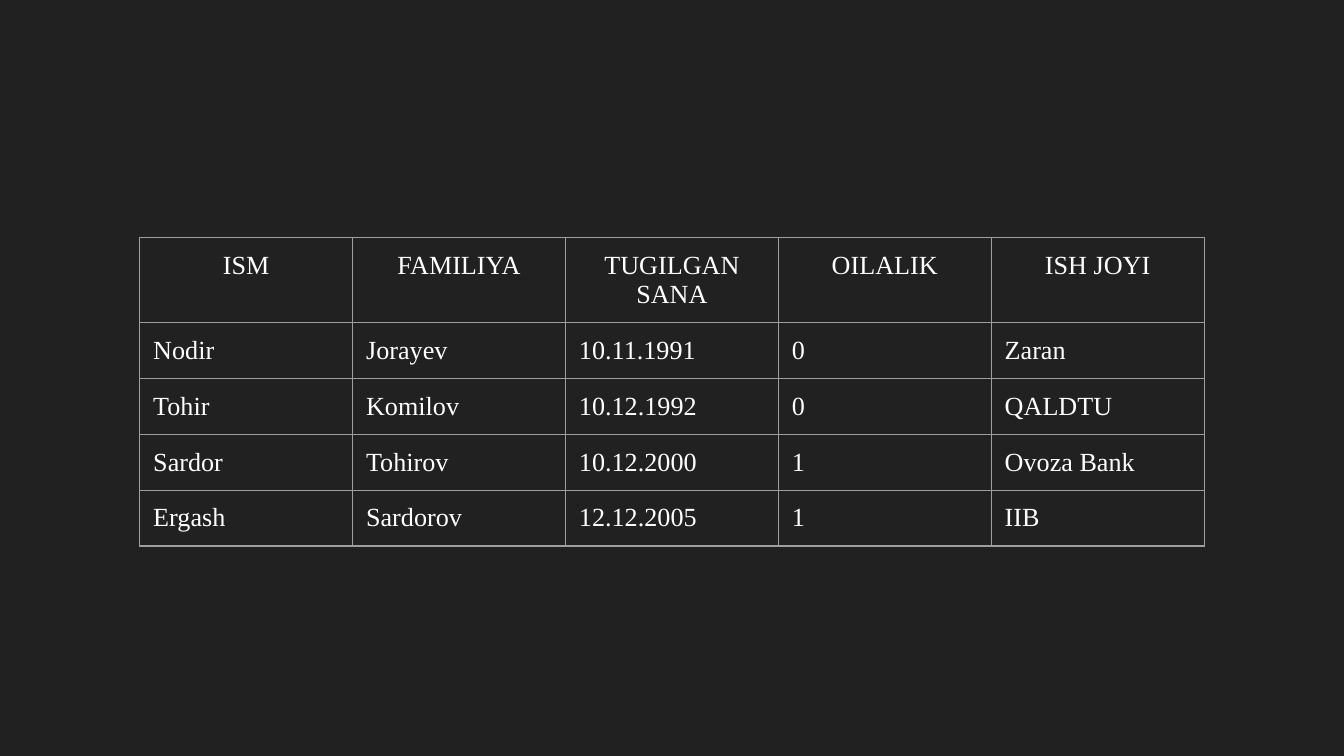
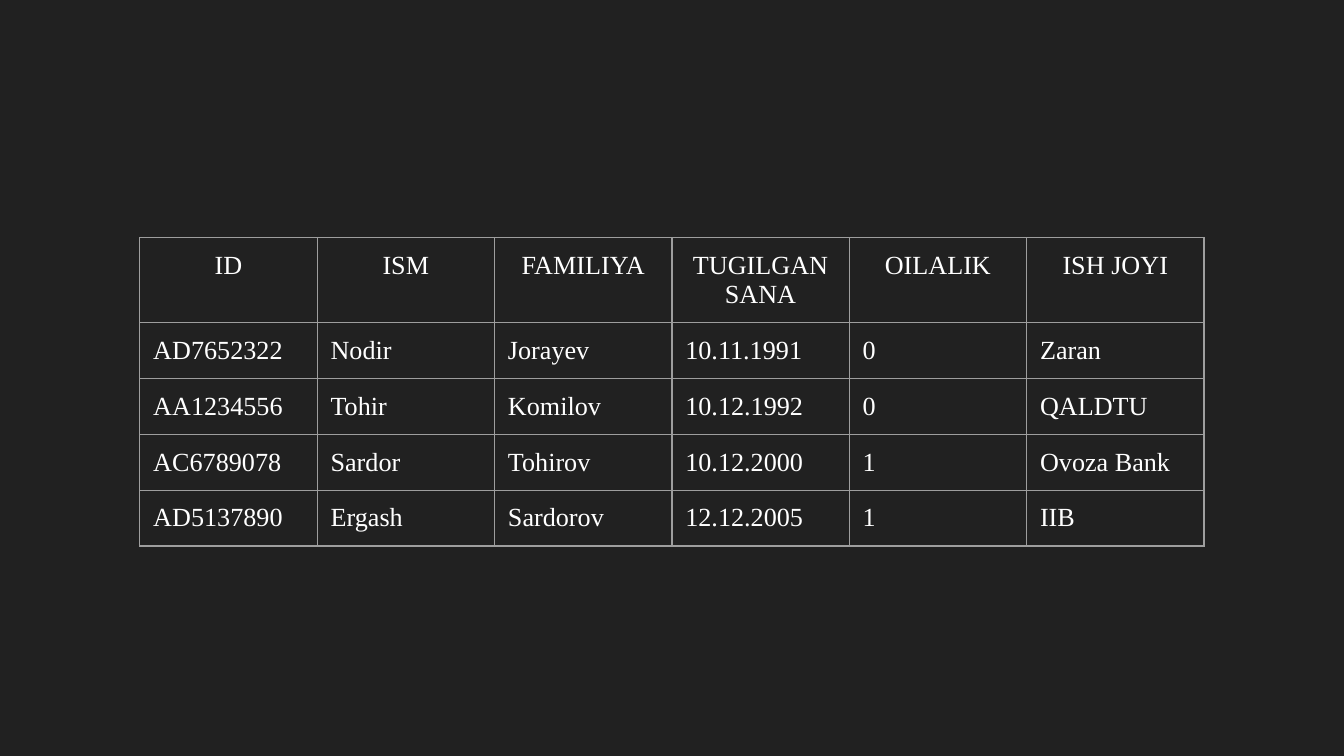
"""Build two slides that show a staff table without and with an ID column."""
from lxml import etree
from pptx import Presentation
from pptx.dml.color import RGBColor
from pptx.enum.text import PP_ALIGN
from pptx.oxml.ns import qn
from pptx.util import Inches, Pt

CENTER, LEFT = PP_ALIGN.CENTER, PP_ALIGN.LEFT
COLORS = {"background": "212121", "text": "FFFFFF", "border": "9E9E9E"}
FONT = "Times New Roman"
SLIDE_WIDTH = 10
SLIDE_HEIGHT = SLIDE_WIDTH * 9 / 16
TABLE_LEFT, TABLE_TOP, TABLE_WIDTH, TABLE_HEIGHT = 1.04, 1.77, 7.92, 2.08
CELL_MARGIN, BORDER_WIDTH = 0.1, 0.75

STAFF = [
    ["ISM", "FAMILIYA", "TUGILGAN SANA", "OILALIK", "ISH JOYI"],
    ["Nodir", "Jorayev", "10.11.1991", "0", "Zaran"],
    ["Tohir", "Komilov", "10.12.1992", "0", "QALDTU"],
    ["Sardor", "Tohirov", "10.12.2000", "1", "Ovoza Bank"],
    ["Ergash", "Sardorov", "12.12.2005", "1", "IIB"],
]
IDS = ["ID", "AD7652322", "AA1234556", "AC6789078", "AD5137890"]
STAFF_WITH_ID = [[number, *person] for number, person in zip(IDS, STAFF)]


def write_text(cell, text, size=14, color="text", align=LEFT):
    paragraph = cell.text_frame.paragraphs[0]
    paragraph.alignment = align
    run = paragraph.add_run()
    run.text = text
    run.font.name = FONT
    run.font.size = Pt(size)
    run.font.bold = False
    run.font.color.rgb = RGBColor.from_string(COLORS[color])


def draw_borders(cell):
    properties = cell._tc.get_or_add_tcPr()
    for side in ("a:lnL", "a:lnR", "a:lnT", "a:lnB"):
        line = etree.SubElement(properties, qn(side), w=str(Pt(BORDER_WIDTH)))
        fill = etree.SubElement(line, qn("a:solidFill"))
        etree.SubElement(fill, qn("a:srgbClr"), val=COLORS["border"])


presentation = Presentation()
presentation.slide_width = Inches(SLIDE_WIDTH)
presentation.slide_height = Inches(SLIDE_HEIGHT)
blank_layout = presentation.slide_layouts.get_by_name("Blank")
background = presentation.slide_master.background.fill
background.solid()
background.fore_color.rgb = RGBColor.from_string(COLORS["background"])

for records in (STAFF, STAFF_WITH_ID):
    slide = presentation.slides.add_slide(blank_layout)
    table = slide.shapes.add_table(
        len(records), len(records[0]), Inches(TABLE_LEFT), Inches(TABLE_TOP),
        Inches(TABLE_WIDTH), Inches(TABLE_HEIGHT)).table
    table.first_row = False
    table.horz_banding = False
    for row_index, record in enumerate(records):
        for column_index, text in enumerate(record):
            cell = table.cell(row_index, column_index)
            cell.margin_left = cell.margin_right = Inches(CELL_MARGIN)
            cell.margin_top = cell.margin_bottom = Inches(CELL_MARGIN)
            draw_borders(cell)
            cell.fill.background()
            write_text(cell, text, align=CENTER if row_index == 0 else LEFT)

presentation.save("out.pptx")
